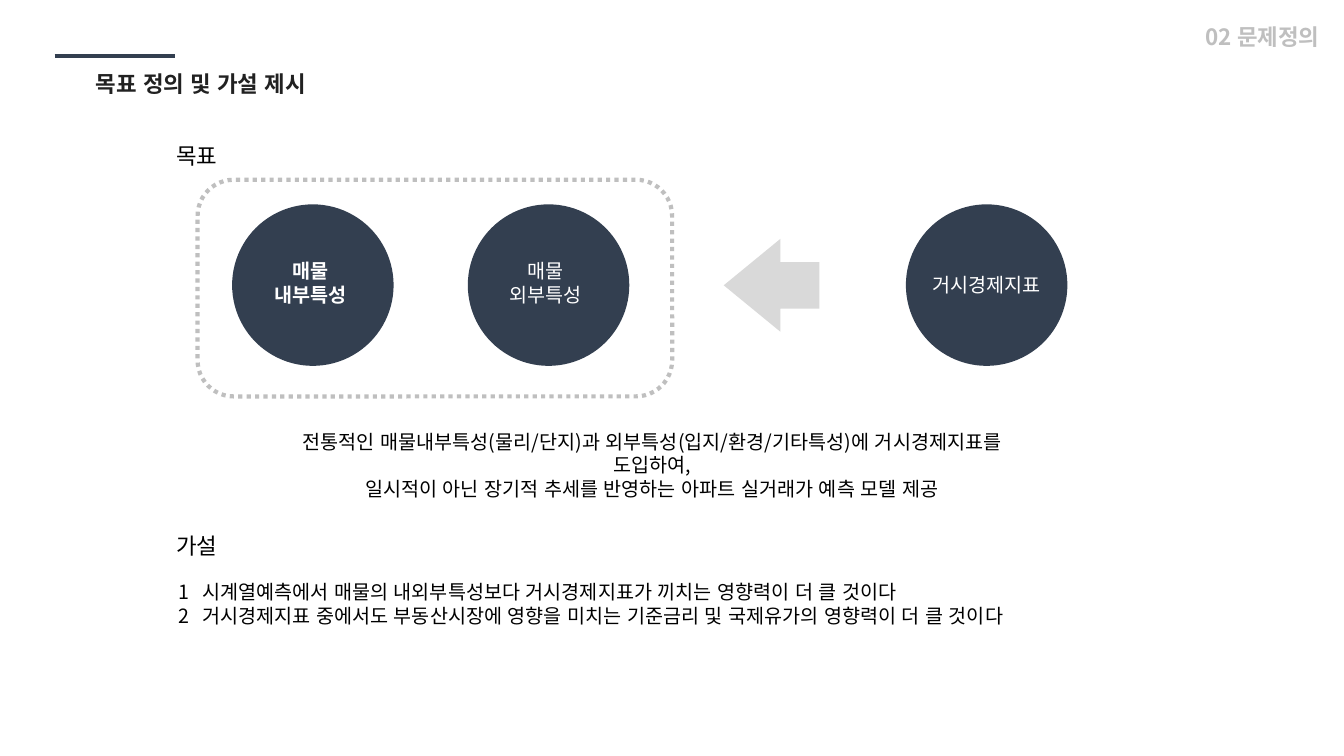
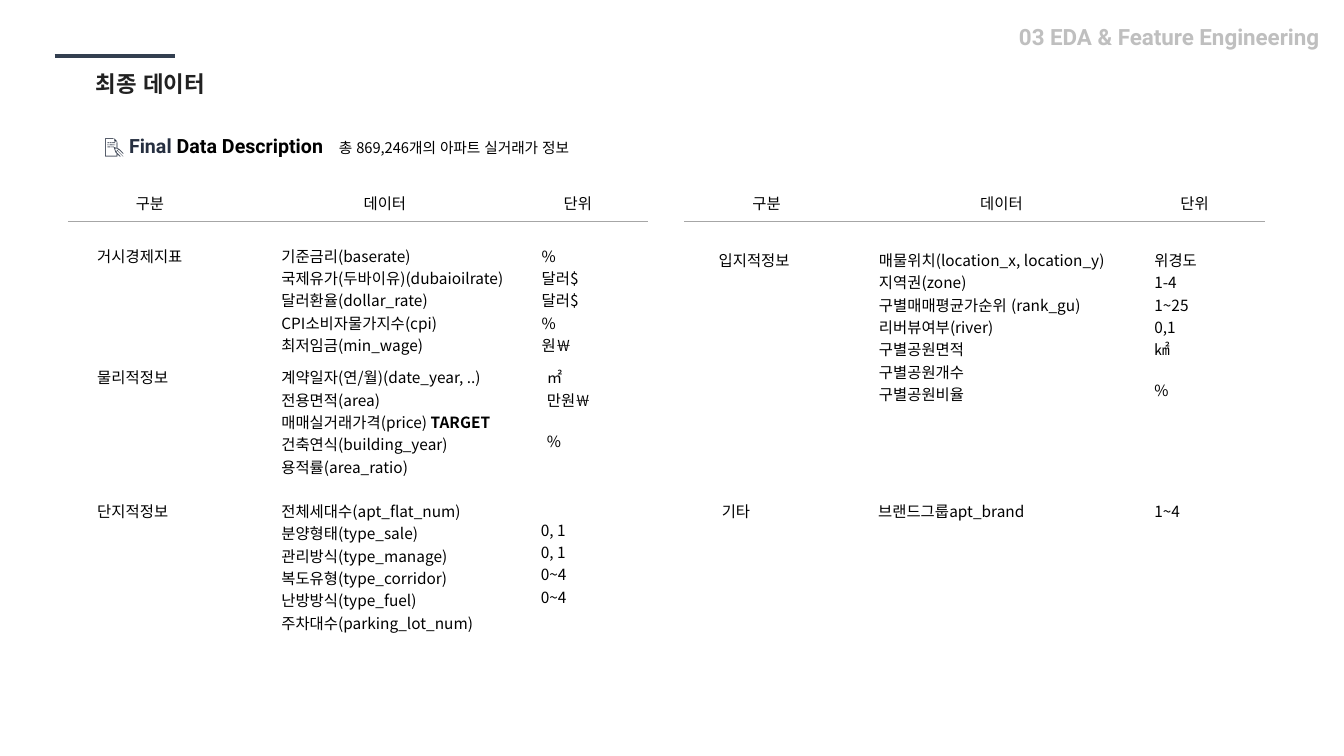
from lxml.etree import SubElement
from pptx import Presentation
from pptx.dml.color import RGBColor
from pptx.enum.dml import MSO_LINE
from pptx.enum.lang import MSO_LANGUAGE_ID
from pptx.enum.shapes import MSO_CONNECTOR, MSO_SHAPE
from pptx.enum.text import MSO_ANCHOR, MSO_AUTO_SIZE, PP_ALIGN
from pptx.oxml.ns import qn
from pptx.util import Cm, Pt

COLORS = {
    "navy": "333F50", "ink": "262F40", "title": "212121", "black": "000000",
    "white": "FFFFFF", "dots": "BFBFBF", "arrow": "D9D9D9", "rule": "A6A6A6",
}
NOTO, ROBOTO = "Noto Sans CJK KR", "Roboto"
PLAIN_TABLE = "{2D5ABB26-0587-4C30-8999-92F81FD0307C}"

# Formats of the text kinds
TITLE = dict(size=16, color="title", bold=True)
SECTION = dict(size=16, color="dots", bold=True)
HEAD = dict(size=16)
BODY = dict(size=14)
CELL = dict(size=11)
ZERO = dict(margin_left=0, margin_right=0, margin_top=0, margin_bottom=0)

# Table geometry in cm; a line of cell text is PITCH points high
COLS = (4.14, 7.7, 2.79)
TOP, HEADER, PITCH = 4.7, 0.89, 13.2

# Groups: label, top of the text, left pads of the columns, lines
MACRO = ("거시경제지표", 6.15, (0.74, 1.24, 0.1), [
    ("기준금리(baserate)", "%"),
    ("국제유가(두바이유)(dubaioilrate)", "달러$"),
    ("달러환율(dollar_rate)", "달러$"),
    ("CPI소비자물가지수(cpi)", "%"),
    ("최저임금(min_wage)", "원￦"),
])
BUILD = ("물리적정보", 9.22, (0.74, 1.24, 0.23), [
    ("계약일자(연/월)(date_year, ..)", "㎡"),
    ("전용면적(area)", "만원￦"),
    ("매매실거래가격(price) *TARGET", ""),
    ("건축연식(building_year)", "%"),
    ("용적률(area_ratio)", ""),
])
ESTATE = ("단지적정보", 12.59, (0.74, 1.24, 0.08), [
    ("전체세대수(apt_flat_num)", ""),
    ("분양형태(type_sale)", "0, 1"),
    ("관리방식(type_manage)", "0, 1"),
    ("복도유형(type_corridor)", "0~4"),
    ("난방방식(type_fuel)", "0~4"),
    ("주차대수(parking_lot_num)", ""),
])
PLACE = ("입지적정보", 6.26, (0.86, 0.76, 0), [
    ("매물위치(location_x, location_y)", "위경도"),
    ("지역권(zone)", "1-4"),
    ("구별매매평균가순위 (rank_gu)", "1~25"),
    ("리버뷰여부(river)", "0,1"),
    ("구별공원면적", "㎢"),
    ("구별공원개수", ""),
    ("구별공원비율", "%"),
])
OTHER = ("기타", 12.59, (0.94, 0.74, 0), [("브랜드그룹apt_brand", "1~4")])


def apply(item, values):
    for name, value in values.items():
        setattr(item, name, value)


def rgb(name):
    return RGBColor.from_string(COLORS[name])


def add_run(para, text, size, color="black", bold=False, font=NOTO):
    run = para.add_run()
    run.text = text
    apply(run.font, dict(size=Pt(size), bold=bold, name=font,
                         language_id=MSO_LANGUAGE_ID.KOREAN))
    run.font.color.rgb = rgb(color)
    run.font._element.set("kern", "1200")
    SubElement(run.font._element, qn("a:ea"), typeface=font)


def write(frame, lines, style, align=PP_ALIGN.LEFT):
    """Fill a text frame, one paragraph per line."""
    for i, line in enumerate(lines):
        para = frame.paragraphs[0] if i == 0 else frame.add_paragraph()
        para.alignment = align
        # The part after an asterisk is bold
        plain, _, strong = line.partition("*")
        add_run(para, plain, **style)
        if strong:
            add_run(para, strong, **dict(style, bold=True))


def add_text(slide, box, lines, style, align=PP_ALIGN.LEFT):
    frame = slide.shapes.add_textbox(*map(Cm, box)).text_frame
    frame.word_wrap = True
    write(frame, lines, style, align)
    return frame


def add_line(slide, left, right, top, color, width):
    line = slide.shapes.add_connector(
        MSO_CONNECTOR.STRAIGHT, Cm(left), Cm(top), Cm(right), Cm(top))
    line.line.width = Pt(width)
    line.line.color.rgb = rgb(color)
    SubElement(line._element.spPr, qn("a:effectLst"))


def add_shape(slide, kind, box, fill=None):
    shape = slide.shapes.add_shape(kind, *map(Cm, box))
    shape.shadow.inherit = False
    shape.line.fill.background()
    if fill:
        shape.fill.solid()
        shape.fill.fore_color.rgb = rgb(fill)
    else:
        shape.fill.background()
    return shape


def add_circle(slide, left, lines, bold=False, lift=0.0):
    shape = add_shape(slide, MSO_SHAPE.OVAL, (left, 5.15, 4.07, 4.07), "navy")
    frame = shape.text_frame
    apply(frame, dict(ZERO, margin_right=Cm(lift), margin_bottom=Cm(lift),
                      vertical_anchor=MSO_ANCHOR.MIDDLE, word_wrap=True))
    write(frame, lines, dict(BODY, color="white", bold=bold), PP_ALIGN.CENTER)


def add_slide(deck, title, section, font=NOTO):
    """Start a slide with its title, accent bar and section label."""
    slide = deck.slides.add_slide(deck.slide_layouts[5])
    holder = slide.shapes.title
    apply(holder, dict(left=Cm(2.16), top=Cm(1.65), width=Cm(8.64), height=Cm(0.94)))
    apply(holder.text_frame, dict(vertical_anchor=MSO_ANCHOR.TOP, word_wrap=True,
                                  auto_size=MSO_AUTO_SIZE.NONE))
    write(holder.text_frame, [title], TITLE)
    add_line(slide, 1.38, 4.42, 1.41, "navy", 3)
    add_text(slide, (24.86, 0.46, 8.64, 0.94), [section],
             dict(SECTION, font=font), PP_ALIGN.RIGHT)
    return slide


def fill_cell(cell, lines, pad=0.0, top=0.0, align=PP_ALIGN.LEFT):
    """Write the lines of a cell; empty ones become spacing."""
    first = next(i for i, line in enumerate(lines) if line)
    apply(cell, dict(ZERO, margin_left=Cm(pad), vertical_anchor=MSO_ANCHOR.TOP,
                     margin_top=Cm(top) + Pt(PITCH * first)))
    cell.fill.background()
    write(cell.text_frame, [line for line in lines if line], CELL, align)
    spots = [i for i, line in enumerate(lines) if line]
    for para, last, spot in zip(cell.text_frame.paragraphs[1:], spots, spots[1:]):
        para.space_before = Pt(PITCH * (spot - last - 1))


def add_grid(slide, left, groups):
    shape = slide.shapes.add_table(
        1 + len(groups), len(COLS), Cm(left), Cm(TOP), Cm(sum(COLS)), Cm(11.4))
    table = shape.table
    apply(table, dict(first_row=False, horz_banding=False))
    table._tbl.tblPr.find(qn("a:tableStyleId")).text = PLAIN_TABLE
    for col, width in zip(table.columns, COLS):
        col.width = Cm(width)

    # Header row and the rule under it
    table.rows[0].height = Cm(HEADER)
    for i, text in enumerate(("구분", "데이터", "단위")):
        fill_cell(table.cell(0, i), [text], top=0.13, align=PP_ALIGN.CENTER)
    table.cell(0, 2).margin_right = Cm(0.76)
    add_line(slide, left, left + sum(COLS), TOP + HEADER, "rule", 0.5)

    # One row for each group
    gap = groups[0][1] - TOP - HEADER
    ends = [group[1] for group in groups[1:]] + [16.1]
    for row, ((label, start, pads, lines), end) in enumerate(zip(groups, ends), 1):
        table.rows[row].height = Cm(end - start)
        for col, (texts, pad) in enumerate(zip(([label], *zip(*lines)), pads)):
            fill_cell(table.cell(row, col), texts, pad, gap)


def add_goals(deck):
    slide = add_slide(deck, "목표 정의 및 가설 제시", "02 문제정의")

    # Goal diagram
    add_text(slide, (4.19, 3.45, 3.81, 0.94), ["목표"], HEAD)
    add_circle(slide, 5.85, ["매물", "내부특성"], bold=True, lift=0.13)
    add_circle(slide, 11.79, ["매물", "외부특성"], lift=0.13)
    add_circle(slide, 22.83, ["거시경제지표"])
    arrow = add_shape(slide, MSO_SHAPE.LEFT_ARROW, (18.24, 6.02, 2.41, 2.34), "arrow")
    arrow.adjustments[1] = 0.61
    group = add_shape(slide, MSO_SHAPE.ROUNDED_RECTANGLE, (4.98, 4.53, 11.96, 5.46))
    group.line.color.rgb = rgb("dots")
    apply(group.line, dict(width=Pt(3), dash_style=MSO_LINE.ROUND_DOT))
    add_text(slide, (6.48, 10.7, 19.91, 1.45), [
        "전통적인 매물내부특성(물리/단지)과 외부특성(입지/환경/기타특성)에 거시경제지표를 도입하여,",
        "일시적이 아닌 장기적 추세를 반영하는 아파트 실거래가 예측 모델 제공",
    ], BODY, PP_ALIGN.CENTER)

    # Numbered hypotheses
    add_text(slide, (4.19, 13.28, 2.39, 0.94), ["가설"], HEAD)
    frame = add_text(slide, (4.24, 14.5, 22.99, 1.45), [
        "시계열예측에서 매물의 내외부특성보다 거시경제지표가 끼치는 영향력이 더 클 것이다",
        "거시경제지표 중에서도 부동산시장에 영향을 미치는 기준금리 및 국제유가의 영향력이 더 클 것이다",
    ], BODY)
    for para in frame.paragraphs:
        props = para._p.get_or_add_pPr()
        props.set("marL", str(Cm(0.61)))
        props.set("indent", str(-Cm(0.61)))
        SubElement(props, qn("a:buFont"), typeface=NOTO)
        SubElement(props, qn("a:buAutoNum"), type="arabicPlain")


def add_data(deck):
    slide = add_slide(deck, "최종 데이터", "03 EDA & Feature Engineering", ROBOTO)

    # Heading
    head = dict(BODY, bold=True, font=ROBOTO)
    frame = add_text(slide, (2.38, 3.25, 6.5, 0.86), ["📝 Final "], dict(head, color="ink"))
    add_run(frame.paragraphs[0], "Data Description", **head)
    add_text(slide, (8.29, 3.37, 9, 0.7), ["총 869,246개의 아파트 실거래가 정보"], dict(size=10.5))

    # Tables
    add_grid(slide, 1.71, (MACRO, BUILD, ESTATE))
    add_grid(slide, 17.25, (PLACE, OTHER))


def main():
    deck = Presentation()
    apply(deck, dict(slide_width=Cm(33.87), slide_height=Cm(19.05)))
    add_goals(deck)
    add_data(deck)
    deck.save("out.pptx")


if __name__ == "__main__":
    main()
